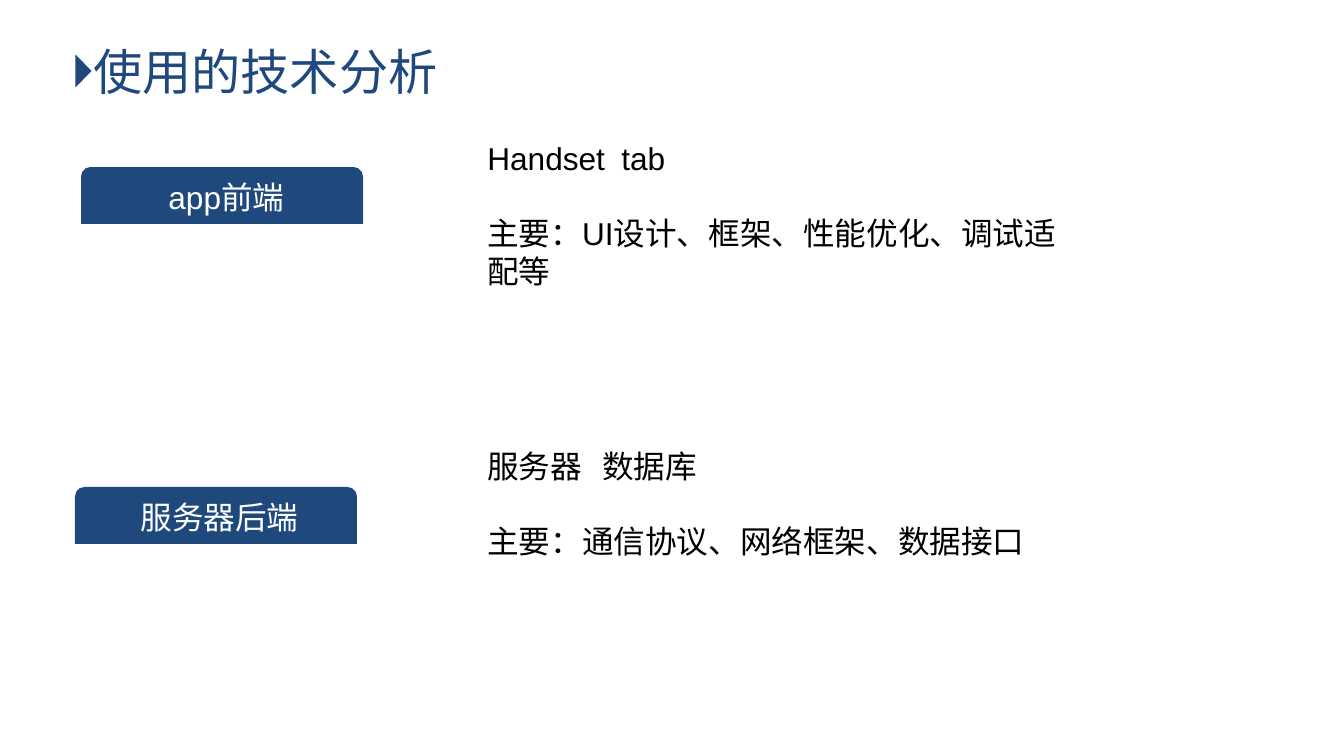
from dataclasses import dataclass

from lxml.etree import SubElement
from pptx import Presentation
from pptx.dml.color import RGBColor
from pptx.enum.shapes import MSO_SHAPE
from pptx.enum.text import MSO_ANCHOR, MSO_AUTO_SIZE, PP_ALIGN
from pptx.oxml.ns import qn
from pptx.util import Pt

PX = 914400 / 126.4


def px(n):
    return round(n * PX)


@dataclass(frozen=True)
class Theme:
    navy: RGBColor = RGBColor(0x1F, 0x49, 0x7D)
    white: RGBColor = RGBColor(0xFF, 0xFF, 0xFF)
    black: RGBColor = RGBColor(0, 0, 0)
    font: str = "Arial"
    title_size: int = 28
    body_size: int = 18
    paragraph_gap: int = 21


class Deck:
    def __init__(self, theme, width, height):
        self.theme = theme
        self.prs = Presentation()
        self.prs.slide_width, self.prs.slide_height = px(width), px(height)
        self.s = self.prs.slides.add_slide(self.prs.slide_layouts[5])

    def style(self, obj, values):
        for name, value in values.items():
            setattr(obj, name, value)

    def place(self, sp, box):
        self.style(sp, dict(zip(("left", "top", "width", "height"), map(px, box))))

    def add_text(self, p, text, size, color):
        r = p.add_run()
        r.text = text
        self.style(r.font, {"name": self.theme.font, "size": Pt(size)})
        r.font.color.rgb = color

    def title(self, box, text):
        sp = self.s.shapes.title
        self.place(sp, box)
        tf = sp.text_frame
        self.style(tf, {"word_wrap": False, "vertical_anchor": MSO_ANCHOR.TOP,
                        "auto_size": MSO_AUTO_SIZE.SHAPE_TO_FIT_TEXT})
        p = tf.paragraphs[0]
        p.alignment = PP_ALIGN.LEFT
        self.add_text(p, text, self.theme.title_size, self.theme.navy)

    def shape(self, kind, box, rotation=0):
        sp = self.s.shapes.add_shape(kind, *map(px, box))
        sp.rotation = rotation
        sp.shadow.inherit = False
        sp.fill.solid()
        sp.fill.fore_color.rgb = self.theme.navy
        sp.line.fill.background()
        return sp

    def tab_label(self, box, text):
        tf = self.shape(MSO_SHAPE.ROUND_2_SAME_RECTANGLE, box).text_frame
        tf.vertical_anchor = MSO_ANCHOR.MIDDLE
        p = tf.paragraphs[0]
        p.alignment = PP_ALIGN.CENTER
        self.add_text(p, text, self.theme.body_size, self.theme.white)

    def details(self, box, heads, tab, summary):
        tf = self.s.shapes.add_textbox(*map(px, box)).text_frame
        self.style(tf, {"word_wrap": True, "auto_size": MSO_AUTO_SIZE.SHAPE_TO_FIT_TEXT})
        head = tf.paragraphs[0]
        head.space_after = Pt(self.theme.paragraph_gap)
        tabs = SubElement(head._p.get_or_add_pPr(), qn("a:tabLst"))
        SubElement(tabs, qn("a:tab"), pos=str(px(tab)), algn="l")
        for p, text in ((head, "\t".join(heads)), (tf.add_paragraph(), summary)):
            self.add_text(p, text, self.theme.body_size, self.theme.black)


def main():
    deck = Deck(Theme(), 1344, 747)
    deck.title((81, 35, 394, 72), "使用的技术分析")
    deck.shape(MSO_SHAPE.ISOSCELES_TRIANGLE, (67, 63, 33, 16), 90)
    sections = [
        ((81, 167), " app前端", (133, 166), ("Handset", "tab"), 134,
         "主要：UI设计、框架、性能优化、调试适配等"),
        ((75, 487), " 服务器后端", (441, 128), ("服务器", "数据库"), 115,
         "主要：通信协议、网络框架、数据接口"),
    ]
    for corner, label, (top, height), heads, tab, summary in sections:
        deck.tab_label((*corner, 282, 57), label)
        deck.details((475, top, 606, height), heads, tab, summary)
    deck.prs.save("out.pptx")


if __name__ == "__main__":
    main()
